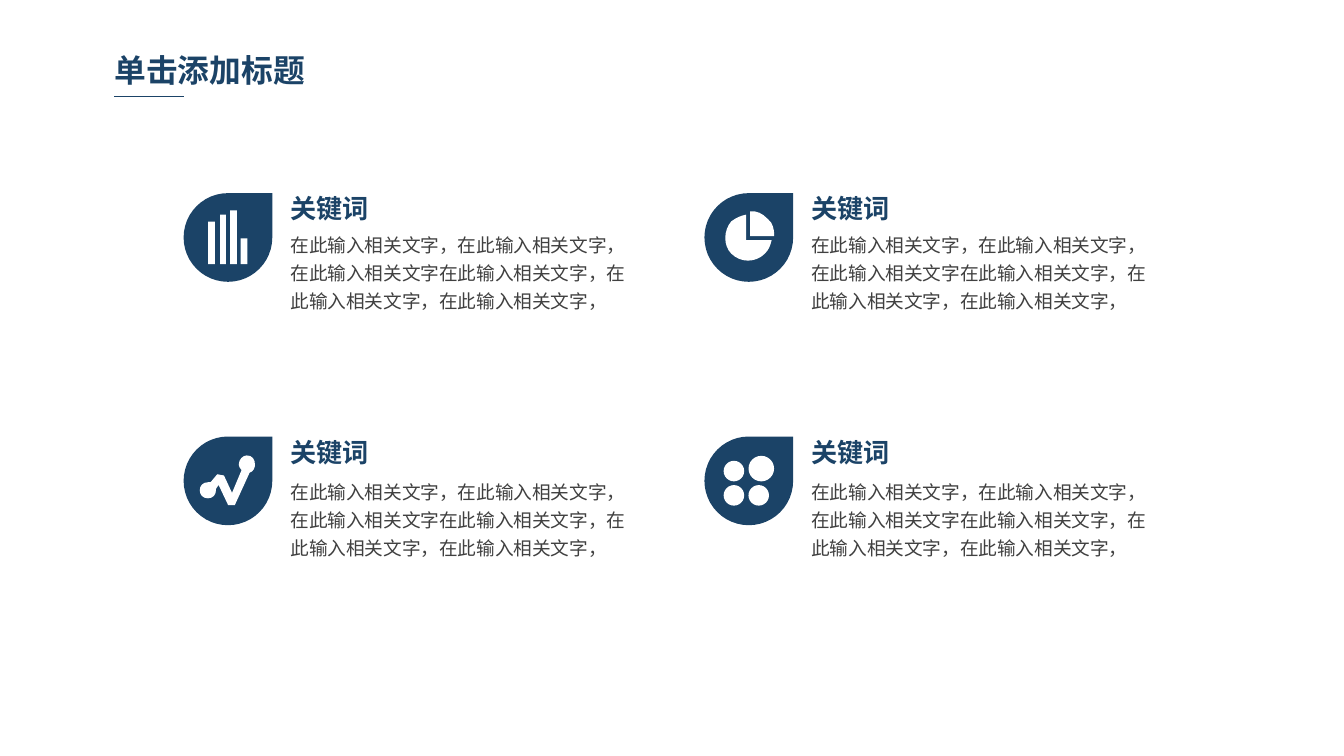
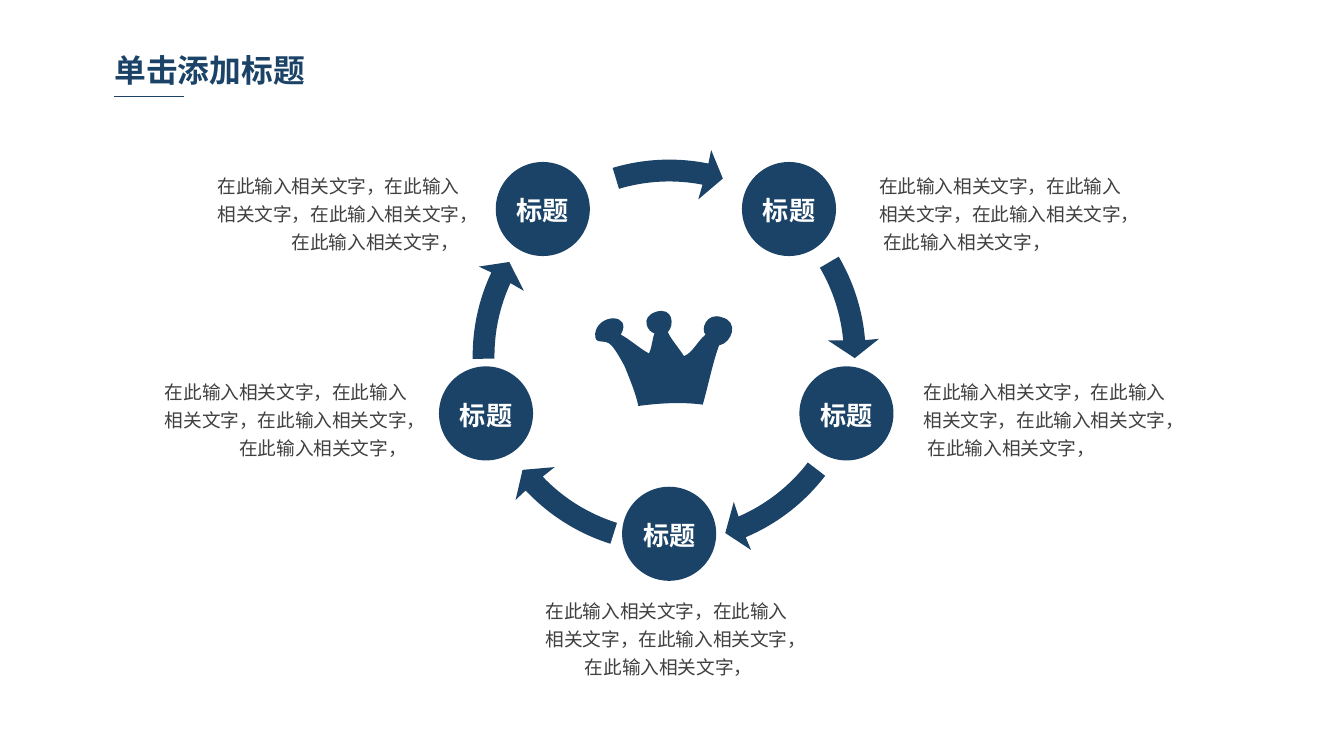
import math

from lxml import etree
from pptx import Presentation
from pptx import util as u
from pptx.dml.color import RGBColor
from pptx.enum import shapes, text
from pptx.oxml.ns import qn

NAVY = RGBColor(0x1B, 0x43, 0x67)
GREY = RGBColor(0x40, 0x40, 0x40)
WHITE = RGBColor(0xFF, 0xFF, 0xFF)
CJK_FONT = "Noto Sans CJK SC"
LATIN_FONT = "Calibri"
INSETS = (5.04, 2.88)
LEFT, CENTER, RIGHT = text.PP_ALIGN.LEFT, text.PP_ALIGN.CENTER, text.PP_ALIGN.RIGHT

TITLE = "单击添加标题"
KEYWORD = "关键词"
NODE_LABEL = "标题"
PHRASE = "在此输入相关文字"
KEYWORD_BODY = f"{PHRASE}，{PHRASE}，{PHRASE}{PHRASE}，{PHRASE}，{PHRASE}， "
NODE_BODY = f"{PHRASE}，{PHRASE}，{PHRASE}， {PHRASE}，"

TEARDROP_SIZE = 47.5
NODE_SIZE = 50.4
RING_RADIUS = 113
NODES = [
    ((-67.7, -78.8), (-254.4, -103), RIGHT),
    ((64.2, -78.8), (107.4, -103), LEFT),
    ((95, 30.7), (131.2, 7.2), LEFT),
    ((-98.1, 30.7), (-282.5, 7.2), RIGHT),
    ((0, 95.2), (-74.9, 124.6), CENTER),
]
ARROW_ANGLES = [(-30.4, -4.7), (37.5, 67.1), (107.4, 136.9), (179.2, 205.2), (253.3, 281.5)]

PIE_BODY = [
    [(22.3, 11.5)],
    [(19.4, 12.2), (17.3, 13), (14.4, 15.1)],
    [(10.1, 20.2), (10.1, 28.1), (14.4, 32.4)],
    [(19.4, 37.4), (27.4, 37.4), (32.4, 32.4)],
    [(34.6, 30.2), (35.3, 28.1), (36, 25.2)],
    [(22.3, 25.2)],
]
PIE_QUARTER = [
    [(33.8, 13.7)],
    [(31, 10.8), (28.1, 9.4), (24.5, 9.7)],
    [(24.5, 23)], [(37.4, 23)],
    [(37.4, 19.4), (36.7, 15.8), (33.8, 13.7)],
]
TREND_LINE = [
    [(38.2, 15.1)],
    [(38.2, 12.2), (36.7, 10.1), (33.8, 10.1)],
    [(31.7, 10.1), (29.5, 12.2), (29.5, 15.1)],
    [(29.5, 15.8), (30.2, 17.3), (31, 18)],
    [(25.9, 30.2)], [(21.6, 20.9)], [(18, 20.2)], [(14.4, 24.5)], [(13, 24.5)],
    [(10.1, 24.5), (8.6, 26.6), (8.6, 28.8)],
    [(8.6, 31), (10.1, 33.1), (13, 33.1)],
    [(15.8, 33.1), (17.3, 31), (17.3, 28.8)],
    [(17.3, 28.1)], [(18.7, 25.9)], [(23.8, 36.7)], [(27.4, 36.7)], [(35.3, 19.4)],
    [(37.4, 18.7), (38.2, 16.6), (38.2, 15.1)],
]
CROWN = [
    [(16.6, 32.4)],
    [(19.4, 39.6), (22.3, 46.1), (23.8, 53.3)],
    [(35.3, 51.8), (46.8, 51.1), (58.3, 52.6)],
    [(61.2, 42.5), (63.4, 31), (67, 20.9)],
    [(74.2, 19.4), (77.8, 7.9), (68.4, 5.8)],
    [(60.5, 2.9), (56.9, 12.2), (59.8, 15.1)],
    [(55.4, 18.7), (52.6, 25.2), (48.2, 26.6)],
    [(46.1, 23), (41, 17.3), (39.6, 13.7)],
    [(43.2, 10.1), (42.5, 0), (33.1, 2.9)],
    [(24.5, 5.8), (28.8, 13.7), (32.4, 14.4)],
    [(31, 18.7), (31, 22.3), (29.5, 25.2)],
    [(25.2, 23), (18.7, 17.3), (14.4, 15.1)],
    [(20.9, 3.6), (2.2, 3.6), (0.7, 14.4)],
    [(0, 21.6), (5.8, 16.6), (9.4, 20.9)],
    [(12.2, 23.8), (16.6, 32.4), (16.6, 32.4)],
]


def paint(shape, color):
    """Give a shape a flat fill without line or shadow."""
    shape.shadow.inherit = False
    shape.fill.solid()
    shape.fill.fore_color.rgb = color
    shape.line.fill.background()


def add_preset(parent, kind, left, top, width, height, color):
    """Add a flat preset shape to a shape collection."""
    paint(parent.add_shape(kind, u.Pt(left), u.Pt(top), u.Pt(width), u.Pt(height)), color)


def add_outline(parent, left, top, box, segments, color):
    """Add a closed outline of lines and cubic curves, with box and points relative to left and top."""
    box_x, box_y, width, height = box
    anchors = [(u.Pt(left + x), u.Pt(top + y)) for x, y in (segment[-1] for segment in segments)]
    builder = parent.build_freeform(*anchors[0])
    builder.add_line_segments(anchors[1:], close=True)
    shape = builder.convert_to_shape()
    shape.left, shape.top = u.Pt(left + box_x), u.Pt(top + box_y)
    shape.width, shape.height = u.Pt(width), u.Pt(height)
    outline = shape._element.find(".//" + qn("a:path"))
    for child in list(outline):
        outline.remove(child)
    outline.set("w", str(u.Pt(width)))
    outline.set("h", str(u.Pt(height)))
    for index, segment in enumerate(segments):
        tag = "a:moveTo" if index == 0 else "a:lnTo" if len(segment) == 1 else "a:cubicBezTo"
        command = etree.SubElement(outline, qn(tag))
        for x, y in segment:
            point = etree.SubElement(command, qn("a:pt"))
            point.set("x", str(u.Pt(x - box_x)))
            point.set("y", str(u.Pt(y - box_y)))
    etree.SubElement(outline, qn("a:close"))
    paint(shape, color)


def polar(radius, degrees):
    """Return the point at an angle on a circle around zero."""
    angle = math.radians(degrees)
    return radius * math.cos(angle), radius * math.sin(angle)


def arc_curve(radius, start, end):
    """Return the cubic curve segment that follows an arc."""
    reach = 4 / 3 * math.tan(math.radians(end - start) / 4)
    (x1, y1), (x2, y2) = polar(radius, start), polar(radius, end)
    return [(x1 - reach * y1, y1 + reach * x1), (x2 + reach * y2, y2 - reach * x2), (x2, y2)]


def write(frame, words, size, color, font=CJK_FONT, bold=False, align=LEFT, spacing=None, before=0):
    """Write one styled paragraph into a text frame."""
    paragraph = frame.paragraphs[0]
    paragraph.alignment = align
    paragraph.line_spacing = spacing
    paragraph.space_before = u.Pt(before)
    run = paragraph.add_run()
    run.text = words
    run.font.size = u.Pt(size)
    run.font.bold = bold
    run.font.color.rgb = color
    run.font.name = font
    properties = run.font._element
    properties.set("lang", "zh-CN")
    etree.SubElement(properties, qn("a:ea")).set("typeface", CJK_FONT)


def add_text(parent, left, top, width, height, words, size, color, insets=INSETS, wrap=True, **style):
    """Add a text box with one paragraph."""
    frame = parent.add_textbox(u.Pt(left), u.Pt(top), u.Pt(width), u.Pt(height)).text_frame
    frame.word_wrap = wrap
    frame.margin_left = frame.margin_right = u.Pt(insets[0])
    frame.margin_top = frame.margin_bottom = u.Pt(insets[1])
    write(frame, words, size, color, **style)


def add_title(slide, left, top):
    """Place the slide title and its short rule."""
    add_text(slide.shapes, left, top, 178, 26, TITLE, 17, NAVY, bold=True)
    rule_left, rule_top = left + 5, top + 27.2
    rule = slide.shapes.add_connector(
        shapes.MSO_CONNECTOR.STRAIGHT,
        u.Pt(rule_left), u.Pt(rule_top), u.Pt(rule_left + 37.4), u.Pt(rule_top))
    rule.line.color.rgb = NAVY
    rule.line.width = u.Pt(0.75)
    etree.SubElement(rule._element.spPr, qn("a:effectLst"))


def draw_bars(parent, left, top):
    """Draw the bar chart icon on a shared baseline."""
    for x, width, height in [(13.1, 3.6, 22.8), (19.5, 3.1, 26.6), (24.9, 3.6, 28.8), (30.5, 3.6, 13.9)]:
        add_preset(parent, shapes.MSO_SHAPE.RECTANGLE, left + x, top + 38.1 - height, width, height, WHITE)


def draw_pie(parent, left, top):
    """Draw the pie icon with one quarter set apart."""
    add_outline(parent, left, top, (10.1, 11.5, 25.9, 25.9), PIE_BODY, WHITE)
    add_outline(parent, left, top, (24.5, 9.4, 13.7, 13.7), PIE_QUARTER, WHITE)


def draw_trend(parent, left, top):
    """Draw the trend line icon."""
    add_outline(parent, left, top, (8.6, 10.1, 29.9, 26.6), TREND_LINE, WHITE)


def draw_dots(parent, left, top):
    """Draw the four dots icon."""
    for x, y, size in [(10.3, 13, 11), (23.6, 10.3, 13.7), (10.3, 26, 11), (23.6, 26, 11)]:
        add_preset(parent, shapes.MSO_SHAPE.OVAL, left + x, top + y, size, size, WHITE)


def add_keyword(slide, left, top, body_offset, draw_icon):
    """Place a teardrop icon with its keyword and text."""
    group = slide.shapes.add_group_shape().shapes
    add_preset(group, shapes.MSO_SHAPE.TEAR, left, top, TEARDROP_SIZE, TEARDROP_SIZE, NAVY)
    draw_icon(group, left, top)
    text_left = left + 52.2
    add_text(slide.shapes, text_left, top - 10, 157, 22.3, KEYWORD, 14, NAVY,
             bold=True, spacing=1.4, before=2.8)
    add_text(slide.shapes, text_left, top + body_offset, 192.2, 71.3, KEYWORD_BODY, 10, GREY,
             spacing=u.Pt(15), before=2)


def add_node(slide, left, top):
    """Place one labelled circle of the cycle."""
    group = slide.shapes.add_group_shape().shapes
    add_preset(group, shapes.MSO_SHAPE.OVAL, left, top, NODE_SIZE, NODE_SIZE, NAVY)
    add_text(group, left + 3.9, top + 13.9, 42.6, 24.5, NODE_LABEL, 14, WHITE, insets=(7.2, 3.6),
             wrap=False, font=LATIN_FONT, bold=True, align=CENTER)


def add_ring_arrow(slide, center_x, center_y, start, end):
    """Draw a curved arrow clockwise around a center."""
    inner_end = end - 0.5
    segments = [
        [polar(105.3, start)],
        arc_curve(105.3, start, end),
        [polar(112.7, end)],
        [polar(99.4, end + 5.3)],
        [polar(85.4, end - 1)],
        [polar(93.6, inner_end)],
        arc_curve(93.6, inner_end, start),
    ]
    ring_box = (-RING_RADIUS, -RING_RADIUS, 2 * RING_RADIUS, 2 * RING_RADIUS)
    add_outline(slide.shapes, center_x, center_y, ring_box, segments, NAVY)


def build_keyword_slide(slide):
    """Build the grid of four keywords."""
    add_title(slide, 56.2, 24.5)
    for index, draw_icon in enumerate([draw_bars, draw_pie, draw_trend, draw_dots]):
        row, column = divmod(index, 2)
        add_keyword(slide, 98.4 + 279 * column, 103.5 + 130.4 * row, 15.9 + 2 * row, draw_icon)


def build_cycle_slide(slide):
    """Build the five step cycle around a crown."""
    center_x, center_y = 358.5, 190.8
    add_title(slide, 56.2, 24.5)
    for (text_x, text_y), align in [node[1:] for node in NODES]:
        add_text(slide.shapes, center_x + text_x, center_y + text_y, 146.9, 51, NODE_BODY, 10, GREY,
                 font=LATIN_FONT, align=align, spacing=u.Pt(15))
    for start, end in ARROW_ANGLES:
        add_ring_arrow(slide, center_x, center_y, start, end)
    for node_x, node_y in [node[0] for node in NODES]:
        add_node(slide, center_x + node_x - NODE_SIZE / 2, center_y + node_y - NODE_SIZE / 2)
    add_outline(slide.shapes, center_x - 40.3, center_y - 26.6, (0, 0, 77.8, 53.3), CROWN, NAVY)


def main():
    """Build and save the presentation."""
    presentation = Presentation()
    presentation.slide_width, presentation.slide_height = u.Pt(720), u.Pt(405)
    for build in (build_keyword_slide, build_cycle_slide):
        build(presentation.slides.add_slide(presentation.slide_layouts[6]))
    presentation.save("out.pptx")


main()
